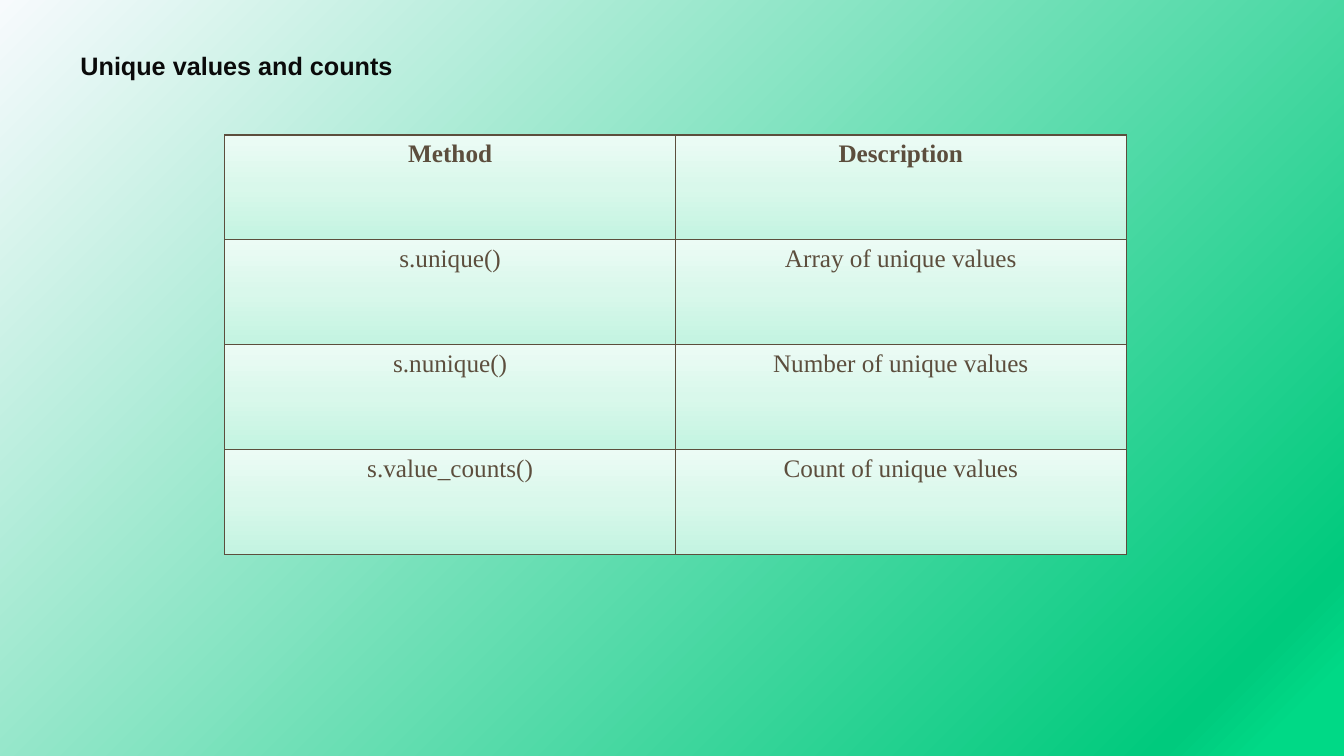
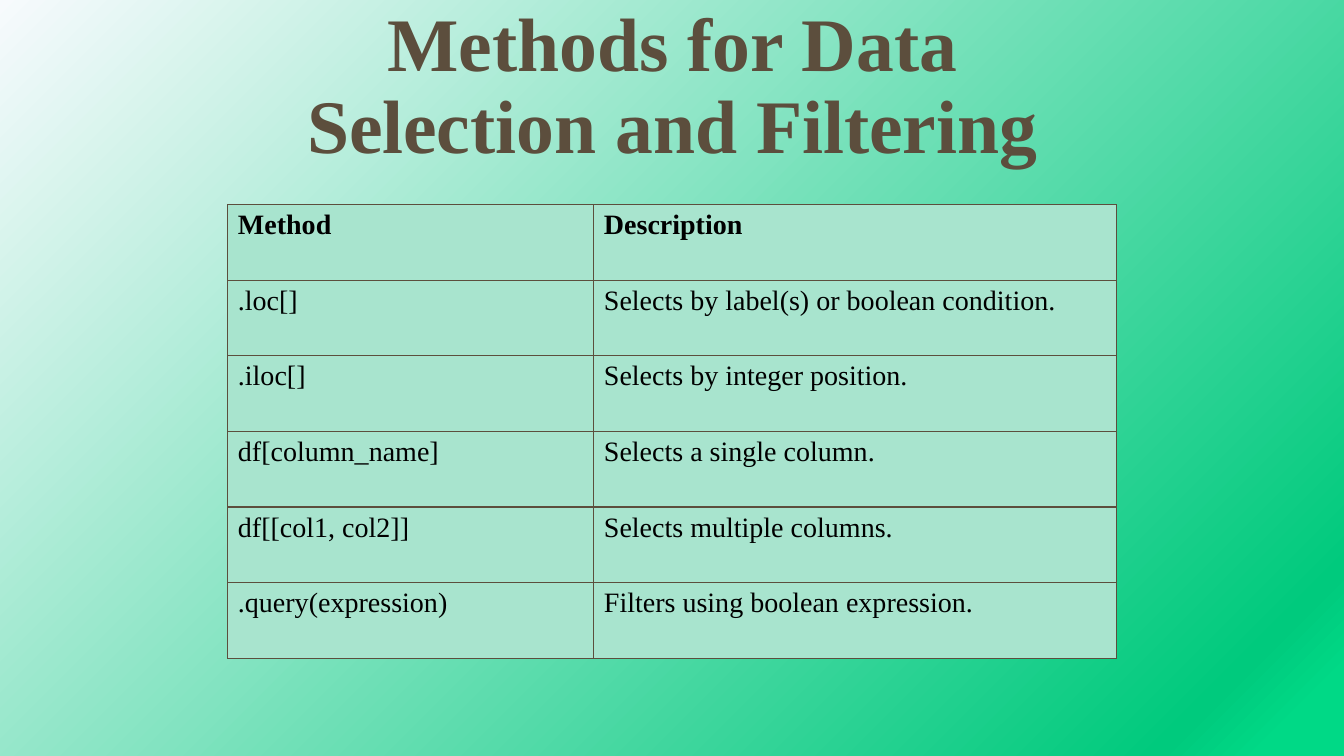
from lxml import etree
from pptx import Presentation
from pptx.dml.color import RGBColor
from pptx.enum.text import MSO_ANCHOR, MSO_AUTO_SIZE, PP_ALIGN
from pptx.oxml.ns import qn
from pptx.util import Inches, Pt

LEFT, CENTER = PP_ALIGN.LEFT, PP_ALIGN.CENTER
TOP, BOTTOM = MSO_ANCHOR.TOP, MSO_ANCHOR.BOTTOM
NO_FIT, GROW = MSO_AUTO_SIZE.NONE, MSO_AUTO_SIZE.SHAPE_TO_FIT_TEXT

COLORS = {
    "brown": "5C4E3D",
    "ink": "0A0A0A",
    "black": "000000",
    "mist": "F7FAFD",
    "green": "00CA7D",
    "bright": "00D986",
    "mint": "A8E4CE",
    "cell_dark": "C3F4E1",
    "cell_mid": "D9F8EB",
    "cell_light": "ECFBF5",
}
SERIF, SANS = "Times New Roman", "Arial"

# Gradients: (position in percent, colour) stops and angle in degrees
PAGE_GRADIENT = ([(0, "mist"), (91, "green"), (96, "bright"), (100, "bright")], 45)
CELL_GRADIENT = ([(0, "cell_dark"), (50, "cell_mid"), (100, "cell_light")], 270)


class Deck:
    """Shared style and the slide being built."""

    def __init__(self):
        self.prs = Presentation()
        self.prs.slide_width = Inches(13.33)
        self.prs.slide_height = Inches(7.5)
        self.s = None

    def slide(self):
        self.s = self.prs.slides.add_slide(self.prs.slide_layouts[6])
        self.gradient(self.s.background.fill, self.s._element, *PAGE_GRADIENT)

    def gradient(self, fill, owner, stops, angle):
        fill.gradient()
        grad = next(owner.iter(qn("a:gradFill")))
        stop_list = grad.find(qn("a:gsLst"))
        for old in list(stop_list):
            stop_list.remove(old)
        for position, color in stops:
            gs = etree.SubElement(stop_list, qn("a:gs"), pos=str(position * 1000))
            etree.SubElement(gs, qn("a:srgbClr"), val=COLORS[color])
        grad.find(qn("a:lin")).set("ang", str(angle * 60000))

    def format(self, p, size, color, font=SERIF, bold=False, align=LEFT):
        p.alignment = align
        for r in p.runs:
            r.font.size = Pt(size)
            r.font.name = font
            r.font.bold = bold
            r.font.color.rgb = RGBColor.from_string(COLORS[color])

    def text(self, text, box, spacing, wrap=True, fit=NO_FIT, anchor=TOP, **style):
        sp = self.s.shapes.add_textbox(*map(Inches, box))
        tf = sp.text_frame
        tf.text = text
        tf.word_wrap = wrap
        tf.auto_size = fit
        tf.vertical_anchor = anchor
        p = tf.paragraphs[0]
        p.line_spacing = spacing
        self.format(p, **style)

    def borders(self, cell):
        tc_pr = cell._tc.get_or_add_tcPr()
        for i, side in enumerate(("lnL", "lnR", "lnT", "lnB")):
            ln = etree.Element(qn(f"a:{side}"), w=str(Pt(1)))
            fill = etree.SubElement(ln, qn("a:solidFill"))
            etree.SubElement(fill, qn("a:srgbClr"), val=COLORS["brown"])
            tc_pr.insert(i, ln)

    def table(self, rows, left, top, widths, row_height, fill=None, **style):
        """Draw a table; cells without a fill colour get the cell gradient."""
        frame = self.s.shapes.add_table(
            len(rows), len(widths), Inches(left), Inches(top),
            Inches(sum(widths)), Inches(row_height * len(rows)))
        table = frame.table
        table.first_row = table.horz_banding = False
        for column, width in zip(table.columns, widths):
            column.width = Inches(width)
        for i, values in enumerate(rows):
            table.rows[i].height = Inches(row_height)
            for j, value in enumerate(values):
                cell = table.cell(i, j)
                cell.text_frame.text = value
                self.format(cell.text_frame.paragraphs[0], bold=i == 0, **style)
                if fill:
                    cell.fill.solid()
                    cell.fill.fore_color.rgb = RGBColor.from_string(COLORS[fill])
                else:
                    self.gradient(cell.fill, cell._tc, *CELL_GRADIENT)
                self.borders(cell)


UNIQUE_METHODS = [
    ("Method", "Description"),
    ("s.unique()", "Array of unique values"),
    ("s.nunique()", "Number of unique values"),
    ("s.value_counts()", "Count of unique values"),
]
SELECTION_METHODS = [
    ("Method", "Description"),
    (".loc[]", "Selects by label(s) or boolean condition."),
    (".iloc[]", "Selects by integer position."),
    ("df[column_name]", "Selects a single column."),
    ("df[[col1, col2]]", "Selects multiple columns."),
    (".query(expression)", "Filters using boolean expression."),
]


def main():
    deck = Deck()

    # Unique values and counts
    deck.slide()
    deck.table(UNIQUE_METHODS, 2.23, 1.34, (4.47, 4.47), 1.04,
               size=18, color="brown", align=CENTER)
    deck.text("Unique values and counts", (0.7, 0.5, 3.33, 0.35), Pt(18),
              wrap=False, fit=GROW, size=18, color="ink", font=SANS, bold=True)

    # Data selection and filtering
    deck.slide()
    deck.text("Methods for Data Selection and Filtering", (2.92, 0.59, 7.5, 1.14),
              0.9, anchor=BOTTOM, size=54, color="brown", bold=True, align=CENTER)
    deck.table(SELECTION_METHODS, 2.26, 2.03, (3.63, 5.18), 0.75,
               fill="mint", size=20, color="black")

    deck.prs.save("out.pptx")


if __name__ == "__main__":
    main()
